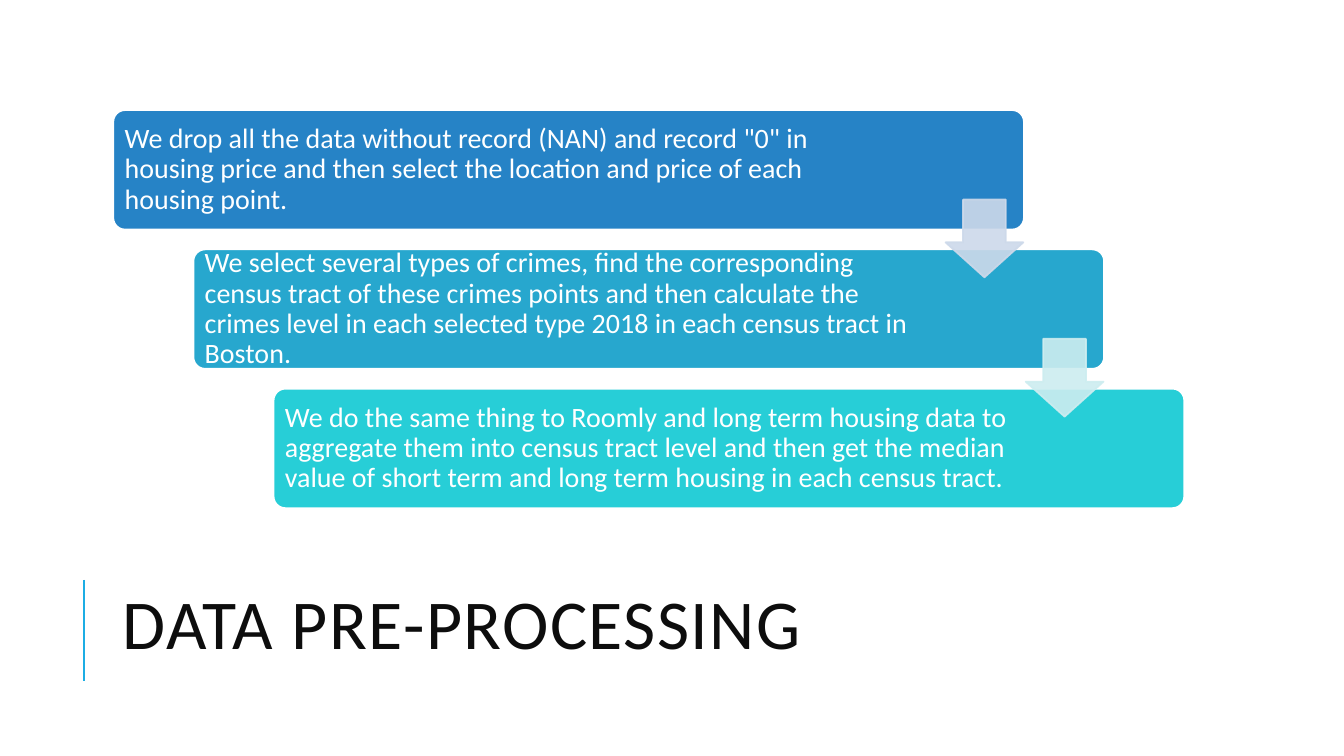
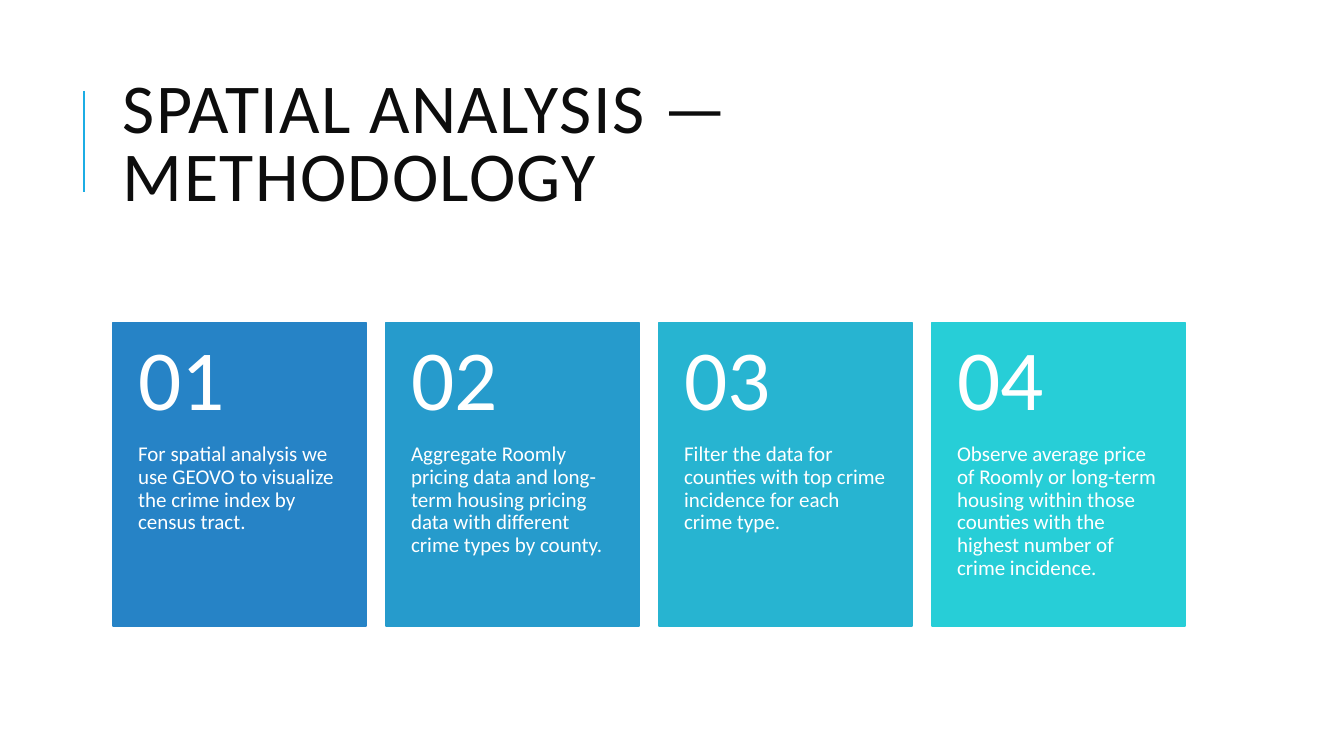
from lxml import etree
from pptx import Presentation
from pptx.dml.color import RGBColor
from pptx.enum import shapes, text
from pptx.oxml import ns
from pptx.util import Cm, Pt

COLORS = {
    "ink": "0D0D0D", "white": "FFFFFF", "rule": "1CADE4",
    "blue": "2683C6", "azure": "269BCC", "sky": "27A7CE",
    "teal": "27B4D1", "aqua": "27CED7",
    "mist": "CDD9EA", "foam": "CDEDF0",
}
FONT = "Calibri"
LEFT = 2.85

STEPS = [
    ("blue", 19.71, 'We drop all the data without record (NAN) and record "0" in '
     "housing price and then select the location and price of each housing point."),
    ("sky", 18.8, "We select several types of crimes, find the corresponding census "
     "tract of these crimes points and then calculate the crimes level in each "
     "selected type 2018 in each census tract in Boston."),
    ("aqua", 18.8, "We do the same thing to Roomly and long term housing data to "
     "aggregate them into census tract level and then get the median value of "
     "short term and long term housing in each census tract."),
]
CARDS = [
    ("blue", "For spatial analysis we use GEOVO to visualize the crime index by "
     "census tract."),
    ("azure", "Aggregate Roomly pricing data and long-term housing pricing data "
     "with different crime types by county."),
    ("teal", "Filter the data for counties with top crime incidence for each "
     "crime type."),
    ("aqua", "Observe average price of Roomly or long-term housing within those "
     "counties with the highest number of crime incidence."),
]


def rgb(name):
    return RGBColor.from_string(COLORS[name])


def write(frame, words, size, color="white", lead=0.9, track=0,
          anchor=text.MSO_ANCHOR.MIDDLE, pads=(0.25, 0.13, 0.25, 0.13)):
    """Fill a text frame; pads are left, top, right, bottom in cm."""
    frame.word_wrap = True
    frame.vertical_anchor = anchor
    (frame.margin_left, frame.margin_top,
     frame.margin_right, frame.margin_bottom) = map(Cm, pads)
    para = frame.paragraphs[0]
    para.line_spacing = lead
    run = para.add_run()
    run.text = words
    run.font.name = FONT
    run.font.size = Pt(size)
    run.font.color.rgb = rgb(color)
    if track:
        run.font._element.set("spc", str(track))


class Deck:
    def __init__(self):
        self.prs = Presentation()
        self.prs.slide_width, self.prs.slide_height = Cm(33.87), Cm(19.05)

    def page(self, title, top, rule):
        """Start a slide with its title and the upright rule beside it."""
        self.slide = self.prs.slides.add_slide(self.prs.slide_layouts[6])
        self.line(2.11, rule, 2.11, rule + 2.54)
        self.label(title, LEFT, top, 27, 4.17, size=50, color="ink",
                   lead=0.8, track=100)

    def line(self, x1, y1, x2, y2):
        line = self.slide.shapes.add_connector(
            shapes.MSO_CONNECTOR.STRAIGHT, Cm(x1), Cm(y1), Cm(x2), Cm(y2))
        line.line.color.rgb = rgb("rule")
        line.line.width = Pt(1.5)
        etree.SubElement(line._element.spPr, ns.qn("a:effectLst"))

    def label(self, words, x, y, w, h, **style):
        box = self.slide.shapes.add_textbox(Cm(x), Cm(y), Cm(w), Cm(h))
        write(box.text_frame, words, **style)

    def shape(self, kind, x, y, w, h, fill, edge=None, width=1.25,
              adjust=(), alpha=None):
        item = self.slide.shapes.add_shape(kind, Cm(x), Cm(y), Cm(w), Cm(h))
        item.shadow.inherit = False
        item.fill.solid()
        item.fill.fore_color.rgb = rgb(fill)
        item.line.color.rgb = rgb(edge or fill)
        item.line.width = Pt(width)
        for i, value in enumerate(adjust):
            item.adjustments[i] = value
        if alpha:
            for tint in item._element.spPr.iter(ns.qn("a:srgbClr")):
                etree.SubElement(tint, ns.qn("a:alpha"), val=str(alpha * 1000))

    def step(self, i, fill, wide, words):
        x, y = LEFT + 2.02 * i, 2.77 + 3.51 * i
        self.shape(shapes.MSO_SHAPE.ROUNDED_RECTANGLE, x, y, 22.96, 3.02,
                   fill, "white", 1.5, adjust=[0.1])
        self.label(words, x + 0.09, y + 0.09, wide, 2.84, size=20,
                   pads=(0.2,) * 4)

    def arrow(self, i, fill):
        self.shape(shapes.MSO_SHAPE.DOWN_ARROW, 23.83 + 2.02 * i,
                   5.03 + 3.51 * i, 1.96, 1.96, fill,
                   adjust=[0.55, 0.45], alpha=90)

    def card(self, i, fill, words):
        x, y, w, h, head = LEFT + 6.88 * i, 8.13, 6.38, 7.65, 3.05
        self.shape(shapes.MSO_SHAPE.RECTANGLE, x, y, w, h, fill)
        self.label(words, x, y + head, w, h - head, size=15,
                   anchor=text.MSO_ANCHOR.TOP, pads=(0.63, 0, 0.63, 0.91))
        self.label(f"{i + 1:02}", x, y, w, head, size=61,
                   pads=(0.63, 0.46, 0.63, 0.46))


def main():
    deck = Deck()
    deck.page("DATA PRE-PROCESSING", top=13.77, rule=14.61)
    for i, step in enumerate(STEPS):
        deck.step(i, *step)
    for i, fill in enumerate(("mist", "foam")):
        deck.arrow(i, fill)

    deck.page("SPATIAL ANALYSIS —METHODOLOGY", top=1.63, rule=2.29)
    for i, card in enumerate(CARDS):
        deck.card(i, *card)
    deck.prs.save("out.pptx")


if __name__ == "__main__":
    main()
